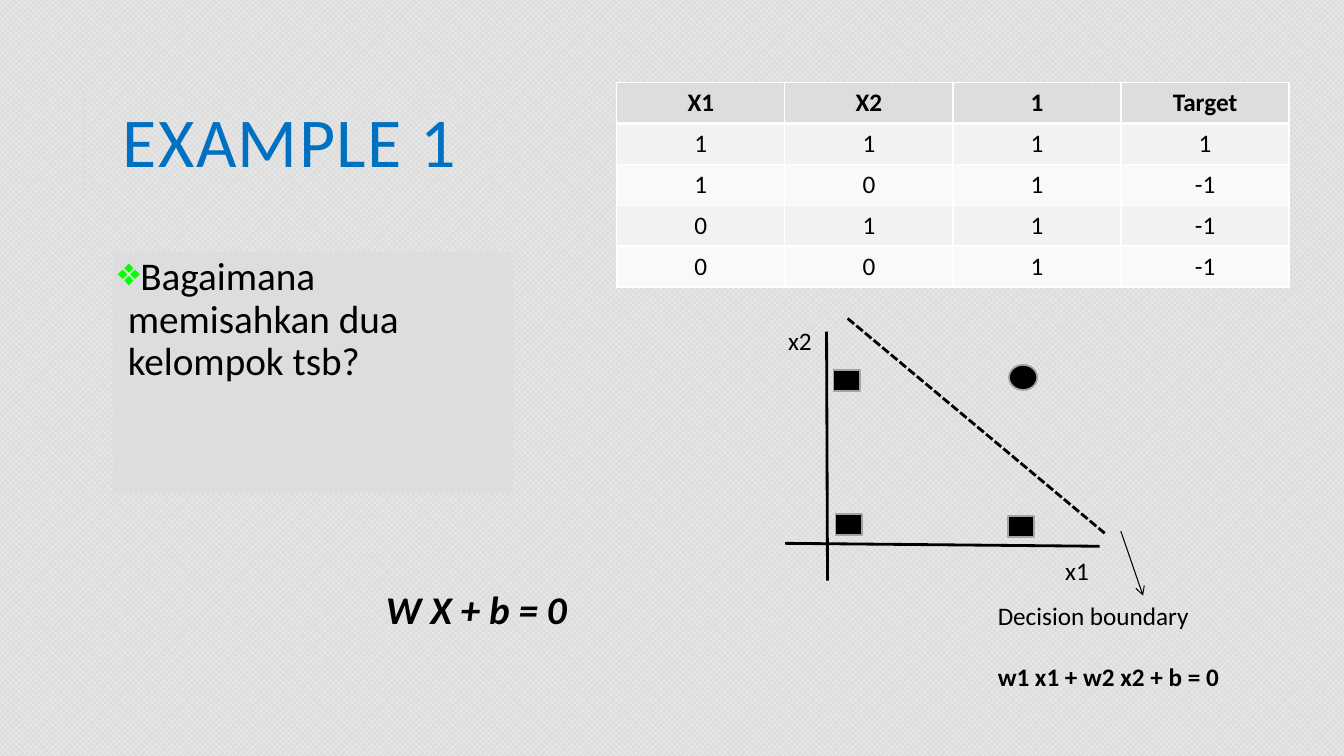
from lxml import etree
from pptx import Presentation
from pptx.dml.color import RGBColor as RGB
from pptx.enum.dml import MSO_LINE as DASH, MSO_PATTERN as PATTERN
from pptx.enum.shapes import MSO_CONNECTOR as CONN, MSO_SHAPE as SHAPE
from pptx.enum.text import MSO_ANCHOR as ANCHOR, PP_ALIGN as ALIGN
from pptx.oxml.ns import qn
from pptx.util import Pt

COLORS = {"title": "0070C0", "text": "000000", "bullet": "00FF00",
          "panel": "DDDDDD", "pattern": "F8F8F8", "border": "FFFFFF",
          "band_dark": "F2F2F2", "band_light": "F9F9F9", "outline": "A3A3A3"}


def color(name):
    return RGB.from_string(COLORS[name])


class SlideBuilder:
    """Style and element methods for one slide."""
    font = "Calibri"

    def __init__(self, prs):
        self.slide = prs.slides.add_slide(prs.slide_layouts[5])
        self.shapes = self.slide.shapes

    def background(self):
        fill = self.slide.background.fill
        fill.patterned()
        fill.pattern = PATTERN.SOLID_DIAMOND
        fill.fore_color.rgb = color("pattern")
        fill.back_color.rgb = color("panel")

    def run(self, p, text, ink="text", **fmt):
        r = p.add_run()
        r.text = text
        for key, value in {"name": self.font, "size": Pt(18), **fmt}.items():
            setattr(r.font, key, value)
        r.font.color.rgb = color(ink)
        return r

    def title(self, text, left, top, width, height):
        sp = self.shapes.title
        box = {"left": left, "top": top, "width": width, "height": height}
        for key, value in box.items():
            setattr(sp, key, Pt(value))
        tf = sp.text_frame
        tf.vertical_anchor = ANCHOR.MIDDLE
        p = tf.paragraphs[0]
        p.alignment, p.line_spacing = ALIGN.LEFT, 0.8
        r = self.run(p, text, "title", size=Pt(50))
        r._r.get_or_add_rPr().set("spc", "100")

    def text(self, lines, *box, gap=0):
        tf = self.shapes.add_textbox(*map(Pt, box)).text_frame
        tf.word_wrap = True
        for i, (line, fmt) in enumerate(lines):
            p = tf.add_paragraph() if i else tf.paragraphs[0]
            if i:
                p.space_before = Pt(gap)
            self.run(p, line, **fmt)

    def bullet_panel(self, text, *box):
        sp = self.shapes.add_textbox(*map(Pt, box))
        sp.fill.solid()
        sp.fill.fore_color.rgb = color("panel")
        tf = sp.text_frame
        tf.word_wrap = True
        for side in ("left", "top", "right", "bottom"):
            setattr(tf, f"margin_{side}", Pt(3.6))
        p = tf.paragraphs[0]
        p.line_spacing, p.space_after = 0.9, Pt(2)
        pPr = p._p.get_or_add_pPr()
        pPr.set("marL", str(Pt(7.2)))
        pPr.set("indent", str(-Pt(7.2)))
        clr = etree.SubElement(pPr, qn("a:buClr"))
        etree.SubElement(clr, qn("a:srgbClr"), val=COLORS["bullet"])
        etree.SubElement(pPr, qn("a:buChar"), char="❖")
        self.run(p, text, size=Pt(28))

    def border(self, cell, side, width):
        ln = etree.SubElement(cell._tc.get_or_add_tcPr(), qn(f"a:ln{side}"), w=str(Pt(width)))
        fill = etree.SubElement(ln, qn("a:solidFill"))
        etree.SubElement(fill, qn("a:srgbClr"), val=COLORS["border"])

    def table(self, rows, *box):
        table = self.shapes.add_table(len(rows), len(rows[0]), *map(Pt, box)).table
        table.horz_banding = False
        for i, row in enumerate(rows):
            band = "panel" if i == 0 else "band_dark" if i % 2 else "band_light"
            for j, value in enumerate(row):
                cell = table.cell(i, j)
                for side in "LRTB":
                    heavy = (i, side) in ((0, "B"), (1, "T"))
                    self.border(cell, side, 3 if heavy else 1)
                cell.fill.solid()
                cell.fill.fore_color.rgb = color(band)
                p = cell.text_frame.paragraphs[0]
                p.alignment = ALIGN.CENTER
                self.run(p, value, bold=i == 0)

    def line(self, *ends, ink="text", width=2, dash=None, arrow=False):
        sp = self.shapes.add_connector(CONN.STRAIGHT, *map(Pt, ends))
        sp.line.color.rgb = color(ink)
        sp.line.width = Pt(width)
        if dash:
            sp.line.dash_style = dash
        if arrow:
            ln = sp._element.spPr.find(qn("a:ln"))
            etree.SubElement(ln, qn("a:tailEnd"), type="arrow")
        etree.SubElement(sp._element.spPr, qn("a:effectLst"))

    def marker(self, kind, *box):
        sp = self.shapes.add_shape(kind, *map(Pt, box))
        sp.shadow.inherit = False
        sp.fill.solid()
        sp.fill.fore_color.rgb = color("text")
        sp.line.color.rgb = color("outline")
        sp.line.width = Pt(1.25)


def main():
    prs = Presentation()
    prs.slide_width, prs.slide_height = Pt(960), Pt(540)
    s = SlideBuilder(prs)
    s.background()

    # Title and question
    s.line(59.8, 136.8, 59.8, 64.8, ink="panel", width=1.5)
    s.title("EXAMPLE 1", 80.6, 46.1, 765.4, 118.1)
    s.bullet_panel("Bagaimana memisahkan dua kelompok tsb?", 80.6, 180, 285.8, 172.1)

    # Truth table
    s.table([("X1", "X2", "1", "Target"),
             ("1", "1", "1", "1"),
             ("1", "0", "1", "-1"),
             ("0", "1", "1", "-1"),
             ("0", "0", "1", "-1")], 440.6, 59, 480.2, 146)

    # Axes and their labels
    s.line(590.4, 236.9, 591.1, 414.7)
    s.line(560.9, 388.1, 785.5, 390.2)
    s.text([("x1", {})], 753.8, 393.1, 49, 28.8)
    s.text([("x2", {})], 555.8, 229, 49, 28.8)

    # The two classes
    s.marker(SHAPE.OVAL, 720.7, 260.6, 20.2, 18)
    for left, top in ((720, 368.6), (595.4, 264.2), (596.9, 367.2)):
        s.marker(SHAPE.RECTANGLE, left, top, 18.7, 15.1)

    # Decision boundary
    s.line(605.5, 227.5, 789.1, 380.9, dash=DASH.SQUARE_DOT)
    s.text([("Decision boundary", {}), ("w1 x1 + w2 x2 + b = 0", {"bold": True})],
           705.6, 425.5, 222.5, 72.7, gap=22)
    s.line(800.6, 379.4, 816.5, 425.5, width=0.75, arrow=True)
    s.text([("W X + b = 0", {"size": Pt(28), "bold": True, "italic": True})],
           268.6, 414.7, 212.4, 41)

    prs.save("out.pptx")


if __name__ == "__main__":
    main()
